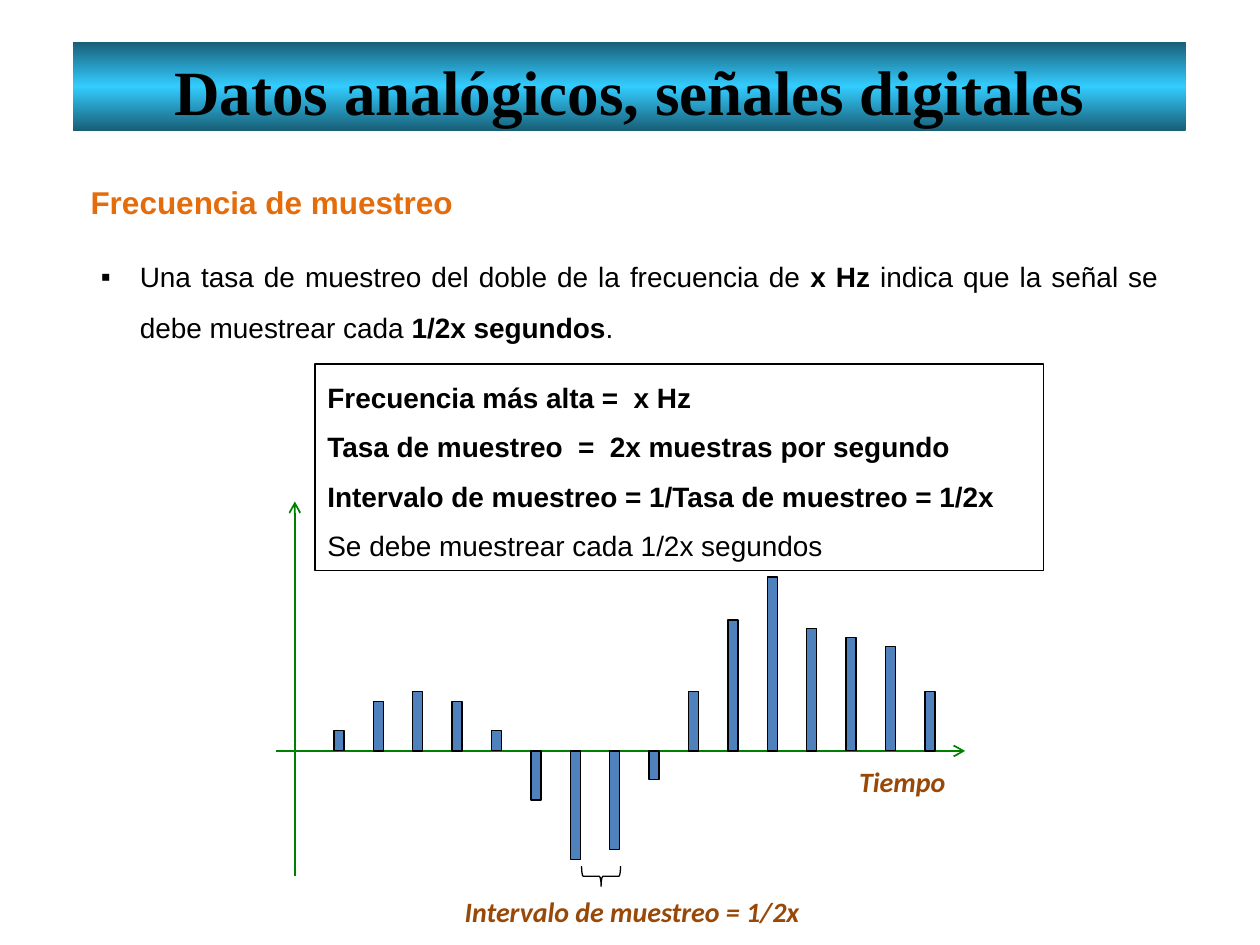
from copy import deepcopy

from lxml.etree import SubElement
from pptx import Presentation
from pptx.dml.color import RGBColor
from pptx.enum.shapes import MSO_CONNECTOR, MSO_SHAPE
from pptx.enum.text import MSO_ANCHOR, MSO_AUTO_SIZE, PP_ALIGN
from pptx.oxml.ns import qn
from pptx.util import Inches, Pt

BLACK = RGBColor(0x00, 0x00, 0x00)
TEAL = RGBColor(0x18, 0x5E, 0x76)
CYAN = RGBColor(0x33, 0xCC, 0xFF)
ORANGE = RGBColor(0xE4, 0x6C, 0x0A)
BROWN = RGBColor(0x98, 0x48, 0x07)
GREEN = RGBColor(0x00, 0x80, 0x00)
BLUE = RGBColor(0x4F, 0x81, 0xBD)

AXIS_Y = 5.96
FIRST_BAR_LEFT = 2.65
BAR_COUNT_GAPS = 15
BAR_PITCH = (7.34 - FIRST_BAR_LEFT) / BAR_COUNT_GAPS
BAR_WIDTH = 0.08
SAMPLES = [0.16, 0.39, 0.47, 0.39, 0.16, -0.39, -0.86, -0.78,
           -0.23, 0.47, 1.04, 1.38, 0.97, 0.9, 0.83, 0.47]
FORMULAS = [
    ("Frecuencia más alta =  x Hz", True),
    ("Tasa de muestreo  =  2x muestras por segundo", True),
    ("Intervalo de muestreo = 1/Tasa de muestreo = 1/2x", True),
    ("Se debe muestrear cada 1/2x segundos", False),
]
SAMPLING_RULE = [
    ("Una tasa de muestreo del doble de la frecuencia de ", False),
    ("x Hz ", True),
    ("indica que la señal se debe muestrear cada ", False),
    ("1/2x segundos", True),
    (".", False),
]


class SlideBuilder:
    text_font = "Arial"
    title_font = "Times New Roman"
    label_font = "Calibri"

    def __init__(self, slide):
        self.slide = slide

    def place(self, shape, left, top, width, height):
        shape.left, shape.top = Inches(left), Inches(top)
        shape.width, shape.height = Inches(width), Inches(height)

    def format(self, paragraph, name, size, color, bold=None, italic=None,
               alignment=PP_ALIGN.LEFT, line_spacing=None, space_before=0):
        paragraph.alignment = alignment
        paragraph.line_spacing = line_spacing
        paragraph.space_before = Pt(space_before)
        font = paragraph.font
        font.name, font.size, font.color.rgb = name, Pt(size), color
        font.bold, font.italic = bold, italic

    def title(self, text, *box):
        shape = self.slide.shapes.title
        self.place(shape, *box)
        shape.fill.gradient()
        shape.fill.gradient_angle = 90
        stop_list = shape._element.spPr.find(qn("a:gradFill")).find(qn("a:gsLst"))
        stop_list.append(deepcopy(stop_list[0]))
        colors = [TEAL, CYAN, TEAL]
        for index, (stop, color) in enumerate(zip(shape.fill.gradient_stops, colors)):
            stop.position = index / 2
            stop.color.rgb = color
        frame = shape.text_frame
        frame.auto_size = MSO_AUTO_SIZE.NONE
        frame.vertical_anchor = MSO_ANCHOR.MIDDLE
        frame.margin_top = Inches(0.12)
        frame.text = text
        self.format(frame.paragraphs[0], self.title_font, 36, BLACK, bold=True,
                    alignment=PP_ALIGN.CENTER)

    def bullet(self, runs, *box):
        shape = self.slide.placeholders[1]
        self.place(shape, *box)
        shape.text_frame.auto_size = MSO_AUTO_SIZE.NONE
        paragraph = shape.text_frame.paragraphs[0]
        properties = paragraph._p.get_or_add_pPr()
        properties.set("marL", str(Inches(0.31)))
        properties.set("indent", str(-Inches(0.31)))
        SubElement(properties, qn("a:buFont"), typeface=self.text_font)
        SubElement(properties, qn("a:buChar"), char="▪")
        for text, bold in runs:
            run = paragraph.add_run()
            run.text = text
            run.font.bold = bold
        self.format(paragraph, self.text_font, 16, BLACK,
                    alignment=PP_ALIGN.JUSTIFY, line_spacing=1.5)

    def text(self, text, box, **style):
        frame = self.slide.shapes.add_textbox(*map(Inches, box)).text_frame
        frame.word_wrap = True
        frame.text = text
        self.format(frame.paragraphs[0], **style)

    def label(self, text, *box):
        self.text(text, box, name=self.label_font, size=16, color=BROWN,
                  bold=True, italic=True)

    def formula_box(self, lines, *box):
        shape = self.shape(MSO_SHAPE.RECTANGLE, *box)
        frame = shape.text_frame
        frame.word_wrap = True
        frame.vertical_anchor = MSO_ANCHOR.TOP
        for index, (text, bold) in enumerate(lines):
            paragraph = frame.add_paragraph() if index else frame.paragraphs[0]
            paragraph.text = text
            self.format(paragraph, self.text_font, 16, BLACK, bold=bold,
                        alignment=PP_ALIGN.JUSTIFY, line_spacing=Pt(25),
                        space_before=3.2 if index else 0)

    def shape(self, kind, left, top, width, height, fill=None):
        shape = self.slide.shapes.add_shape(
            kind, Inches(left), Inches(top), Inches(width), Inches(height))
        shape.shadow.inherit = False
        if fill is None:
            shape.fill.background()
        else:
            shape.fill.solid()
            shape.fill.fore_color.rgb = fill
        shape.line.color.rgb = BLACK
        shape.line.width = Pt(0.75)
        return shape

    def axis(self, *ends):
        connector = self.slide.shapes.add_connector(
            MSO_CONNECTOR.STRAIGHT, *map(Inches, ends))
        connector.line.color.rgb = GREEN
        connector.line.width = Pt(1)
        SubElement(connector.line._get_or_add_ln(), qn("a:tailEnd"), type="arrow")
        SubElement(connector._element.spPr, qn("a:effectLst"))

    def bars(self, samples):
        for index, sample in enumerate(samples):
            self.shape(MSO_SHAPE.RECTANGLE, FIRST_BAR_LEFT + index * BAR_PITCH,
                       AXIS_Y - max(sample, 0), BAR_WIDTH, abs(sample), BLUE)


def main():
    presentation = Presentation()
    presentation.slide_width, presentation.slide_height = Inches(10), Inches(7.5)
    builder = SlideBuilder(
        presentation.slides.add_slide(presentation.slide_layouts[1]))
    builder.title("Datos analógicos, señales digitales", 0.58, 0.33, 8.83, 0.71)
    builder.bullet(SAMPLING_RULE, 0.7, 1.88, 8.59, 0.94)
    builder.text("Frecuencia de muestreo", (0.62, 1.25, 6.41, 0.62),
                 name=builder.text_font, size=18, color=ORANGE, bold=True,
                 alignment=PP_ALIGN.JUSTIFY, line_spacing=1.5)
    builder.axis(2.34, 6.95, 2.34, 3.98)
    builder.axis(2.19, AXIS_Y, 7.66, AXIS_Y)
    builder.bars(SAMPLES)
    builder.label("Intervalo de muestreo = 1/2x", 3.59, 7.05, 2.97, 0.37)
    brace = builder.shape(MSO_SHAPE.RIGHT_BRACE, 4.69, 6.8, 0.16, 0.31)
    brace.rotation = 90
    builder.label("Tiempo", 6.72, 6.02, 0.94, 0.37)
    builder.formula_box(FORMULAS, 2.5, 2.89, 5.78, 1.64)
    presentation.save("out.pptx")


if __name__ == "__main__":
    main()
